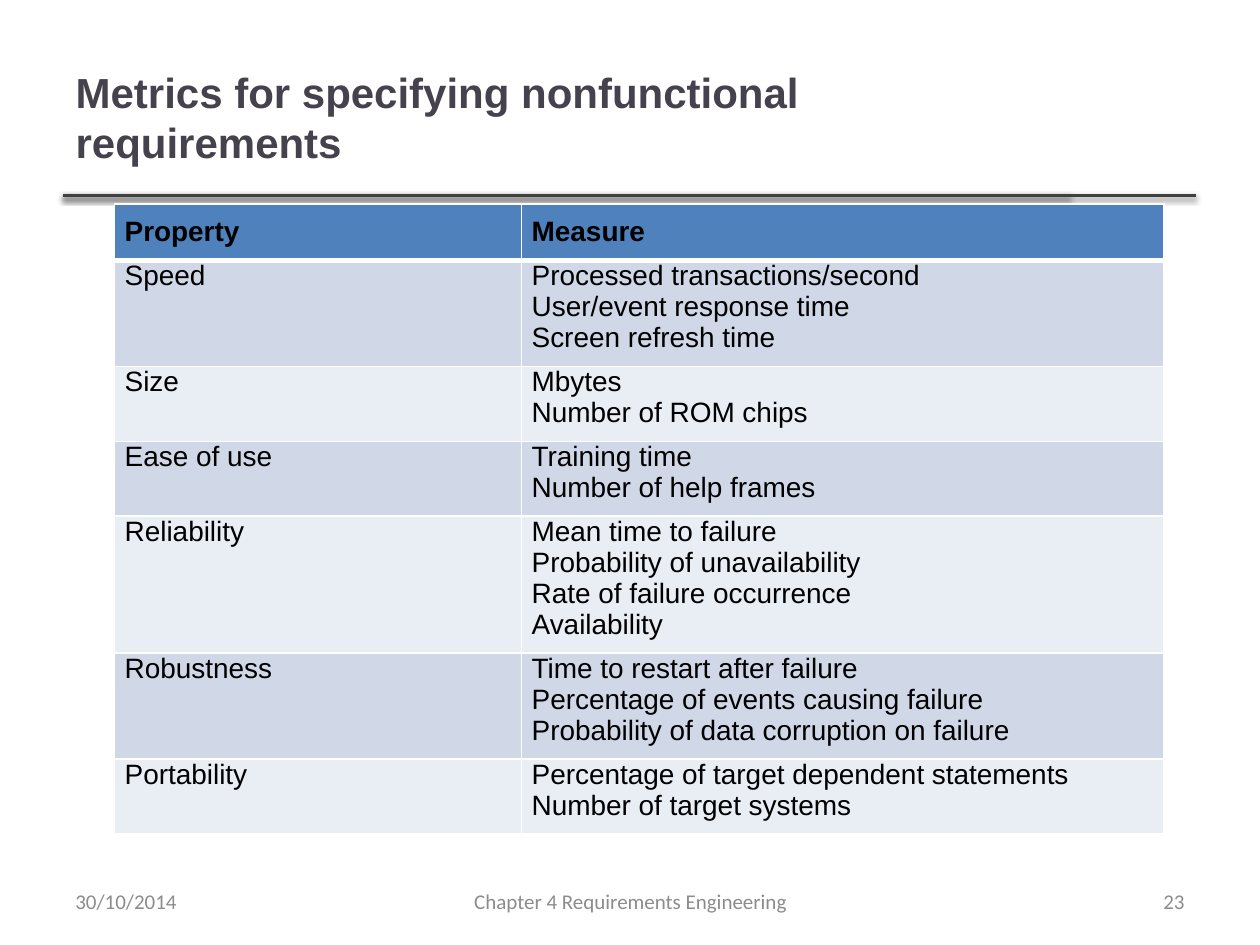
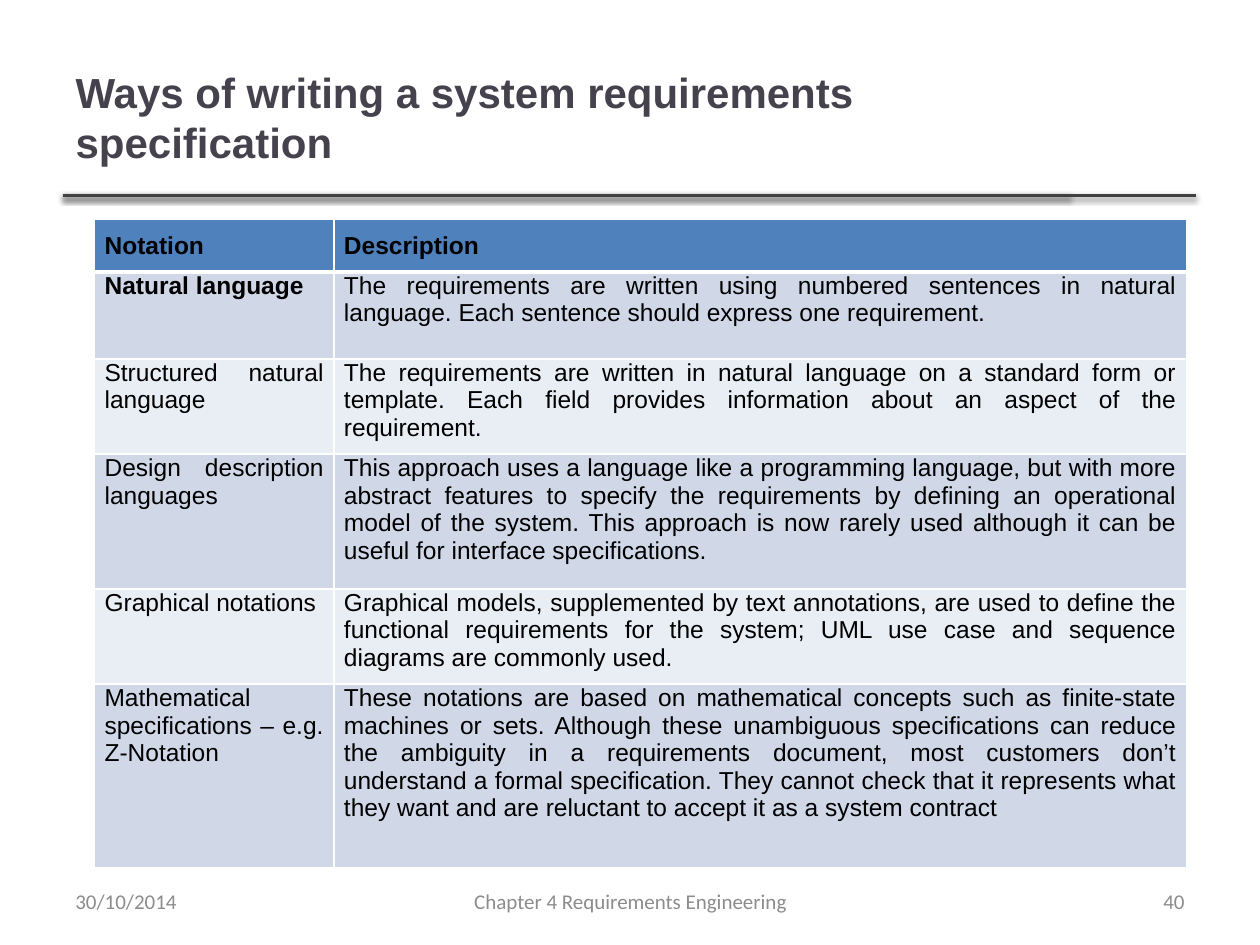
from lxml import etree
from pptx import Presentation
from pptx.dml.color import RGBColor
from pptx.enum.shapes import MSO_CONNECTOR
from pptx.enum.text import MSO_ANCHOR, MSO_AUTO_SIZE, PP_ALIGN
from pptx.oxml import parse_xml
from pptx.oxml.ns import nsdecls, qn
from pptx.util import Inches, Pt

LEFT, CENTER, RIGHT, JUSTIFY = PP_ALIGN.LEFT, PP_ALIGN.CENTER, PP_ALIGN.RIGHT, PP_ALIGN.JUSTIFY
TOP, MIDDLE = MSO_ANCHOR.TOP, MSO_ANCHOR.MIDDLE
STRAIGHT, NO_AUTOFIT = MSO_CONNECTOR.STRAIGHT, MSO_AUTO_SIZE.NONE
TITLE_ONLY = 5

# Content
SLIDES = [
    {
        "title": "Metrics for specifying nonfunctional requirements",
        "number": "23",
        "table_at": (0.91, 1.62),
        "text_size": 16,
        "columns": (3.23, 5.1),
        "row_heights": (0.43, 0.75, 0.53, 0.53, 0.96, 0.75, 0.53),
        "bold_cells": (),
        "rows": [
            ("Property", ["Measure"]),
            ("Speed", ["Processed transactions/second", "User/event response time",
                       "Screen refresh time"]),
            ("Size", ["Mbytes", "Number of ROM chips"]),
            ("Ease of use", ["Training time", "Number of help frames"]),
            ("Reliability", ["Mean time to failure", "Probability of unavailability",
                             "Rate of failure occurrence", "Availability"]),
            ("Robustness", ["Time to restart after failure",
                            "Percentage of events causing failure",
                            "Probability of data corruption on failure"]),
            ("Portability", ["Percentage of target dependent statements",
                             "Number of target systems"]),
        ],
    },
    {
        "title": "Ways of writing a system requirements specification",
        "number": "40",
        "table_at": (0.75, 1.74),
        "text_size": 14,
        "columns": (1.9, 6.77),
        "row_heights": (0.4, 0.69, 0.69, 1.07, 0.69, 1.46),
        "bold_cells": ("Natural language",),
        "rows": [
            ("Notation", ["Description"]),
            ("Natural language", [
                "The requirements are written using numbered sentences in natural language. "
                "Each sentence should express one requirement."]),
            ("Structured natural language", [
                "The requirements are written in natural language on a standard form or "
                "template. Each field provides information about an aspect of the "
                "requirement."]),
            ("Design description languages", [
                "This approach uses a language like a programming language, but with more "
                "abstract features to specify the requirements by defining an operational "
                "model of the system. This approach is now rarely used although it can be "
                "useful for interface specifications."]),
            ("Graphical notations", [
                "Graphical models, supplemented by text annotations, are used to define the "
                "functional requirements for the system; UML use case and sequence diagrams "
                "are commonly used."]),
            ("Mathematical specifications – e.g. Z-Notation", [
                "These notations are based on mathematical concepts such as finite-state "
                "machines or sets. Although these unambiguous specifications can reduce the "
                "ambiguity in a requirements document, most customers don’t understand a "
                "formal specification. They cannot check that it represents what they want "
                "and are reluctant to accept it as a system contract"]),
        ],
    },
]
DATE = "30/10/2014"
CHAPTER = "Chapter 4 Requirements Engineering"

# Shared look
RULE_COLOR, BORDER_COLOR, HEADER_FILL = "404040", "FFFFFF", "4F81BD"
BAND_FILLS = ("E9EDF4", "D0D8E8")
TITLE_FONT = {"name": "Arial", "size": Pt(24), "bold": True, "color": "46424D"}
FOOTER_FONT = {"name": "Calibri", "size": Pt(12), "bold": False, "color": "8C8C8C"}
TITLE_BOX = (0.5, 0.3, 7.98, 1.25)
RULE_LEFT, RULE_TOP, RULE_ENDS = 0.5, 1.55, (8.49, 9.49)
FOOTER_TOP, FOOTER_HEIGHT = 6.95, 0.4


def rgb(color):
    return RGBColor.from_string(color)


def format_text(frame, font, align):
    for paragraph in frame.paragraphs:
        paragraph.alignment = align
        for run in paragraph.runs:
            for key, value in font.items():
                if key == "color":
                    run.font.color.rgb = rgb(value)
                else:
                    setattr(run.font, key, value)


def place_title(slide, text):
    title = slide.shapes.title
    for side, value in zip(("left", "top", "width", "height"), TITLE_BOX):
        setattr(title, side, Inches(value))
    frame = title.text_frame
    frame.text = text
    frame.auto_size, frame.vertical_anchor = NO_AUTOFIT, MIDDLE
    format_text(frame, TITLE_FONT, LEFT)


def add_title_rules(slide):
    for end in RULE_ENDS:
        rule = slide.shapes.add_connector(
            STRAIGHT, Inches(RULE_LEFT), Inches(RULE_TOP), Inches(end), Inches(RULE_TOP))
        rule.line.color.rgb = rgb(RULE_COLOR)
        rule.line.width = Pt(2)
        rule._element.spPr.append(parse_xml(
            f'<a:effectLst {nsdecls("a")}>'
            f'<a:outerShdw blurRad="{Pt(3.1)}" dist="{Pt(1.6)}" dir="5400000" rotWithShape="0">'
            '<a:srgbClr val="000000"><a:alpha val="38000"/></a:srgbClr>'
            '</a:outerShdw></a:effectLst>'))


def add_footer(slide, number):
    for text, left, width, align in (
            (DATE, 0.5, 2.33, LEFT), (CHAPTER, 3.42, 3.17, CENTER), (number, 7.17, 2.33, RIGHT)):
        footer = slide.shapes.add_textbox(
            Inches(left), Inches(FOOTER_TOP), Inches(width), Inches(FOOTER_HEIGHT))
        frame = footer.text_frame
        frame.word_wrap, frame.vertical_anchor = True, MIDDLE
        frame.text = text
        format_text(frame, FOOTER_FONT, align)


def set_borders(cell, row):
    # A thick line parts the header from the body
    widths = {"lnL": 1, "lnR": 1, "lnT": 3 if row == 1 else 1, "lnB": 3 if row == 0 else 1}
    properties = cell._tc.get_or_add_tcPr()
    for side, width in widths.items():
        border = etree.SubElement(properties, qn(f"a:{side}"), w=str(Pt(width)))
        fill = etree.SubElement(border, qn("a:solidFill"))
        etree.SubElement(fill, qn("a:srgbClr"), val=BORDER_COLOR)


def add_requirements_table(slide, content):
    rows, columns, heights = content["rows"], content["columns"], content["row_heights"]
    left, top = content["table_at"]
    table = slide.shapes.add_table(
        len(rows), len(columns), Inches(left), Inches(top),
        Inches(sum(columns)), Inches(sum(heights))).table
    table.first_row = table.horz_banding = False
    for column, width in zip(table.columns, columns):
        column.width = Inches(width)
    for row, height in zip(table.rows, heights):
        row.height = Inches(height)

    for r, (term, details) in enumerate(rows):
        for c, text in enumerate((term, "\n".join(details))):
            cell = table.cell(r, c)
            cell.text = text
            cell_format = {
                "margin_left": Inches(0.08), "margin_right": Inches(0.08),
                "margin_top": Inches(0 if r else 0.1), "margin_bottom": Inches(0.1),
                "vertical_anchor": TOP,
            }
            for key, value in cell_format.items():
                setattr(cell, key, value)
            set_borders(cell, r)
            cell.fill.solid()
            cell.fill.fore_color.rgb = rgb(BAND_FILLS[r % 2] if r else HEADER_FILL)
            font = {"name": "Arial", "size": Pt(content["text_size"]), "color": "000000",
                    "bold": r == 0 or text in content["bold_cells"]}
            format_text(cell.text_frame, font, JUSTIFY)


def main():
    deck = Presentation()
    deck.slide_width, deck.slide_height = Inches(10), Inches(7.5)
    for content in SLIDES:
        slide = deck.slides.add_slide(deck.slide_layouts[TITLE_ONLY])
        add_title_rules(slide)
        place_title(slide, content["title"])
        add_requirements_table(slide, content)
        add_footer(slide, content["number"])
    deck.save("out.pptx")


if __name__ == "__main__":
    main()
